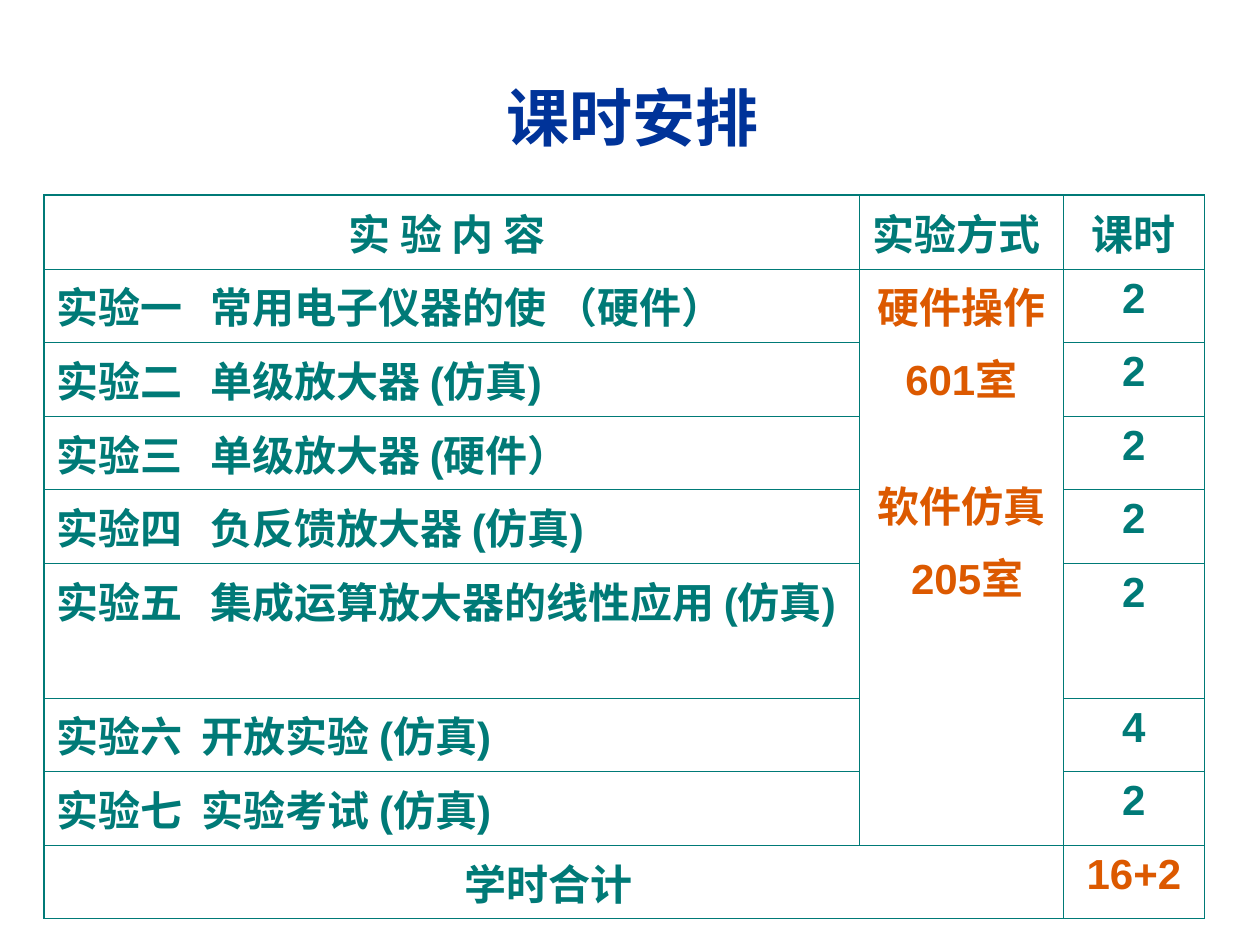
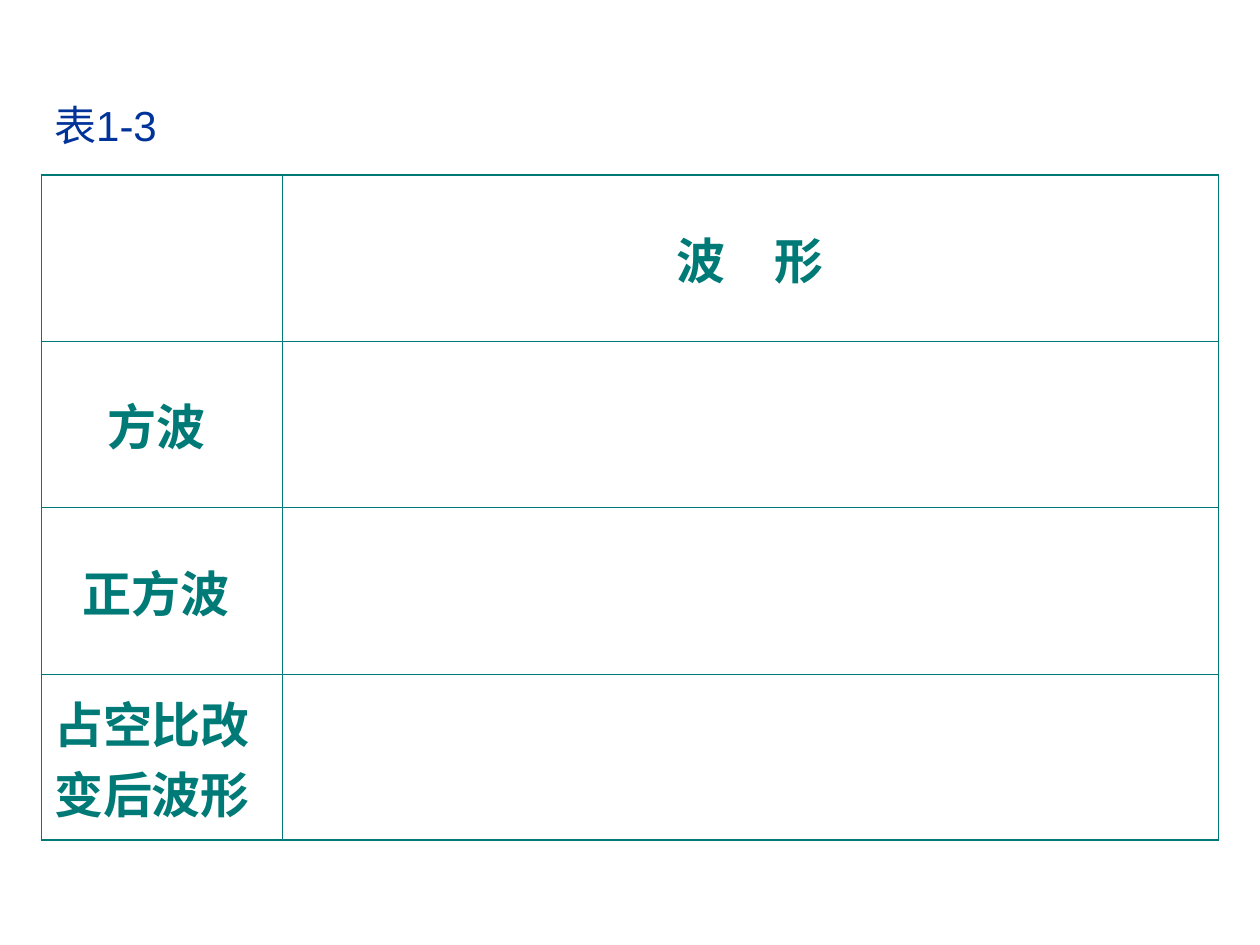
import dataclasses

import pptx
import pptx.dml.color
import pptx.enum.text
import pptx.oxml.ns
import pptx.util
from lxml import etree

Inches = pptx.util.Inches
Pt = pptx.util.Pt
ALIGN = pptx.enum.text.PP_ALIGN
ANCHOR = pptx.enum.text.MSO_ANCHOR
qn = pptx.oxml.ns.qn

# Shared look
COLORS = {"title": "003399", "grid": "007A77", "accent": "DC5900"}
FONT = "Arial"
OUTER_LINE, INNER_LINE = Pt(1.08), Pt(0.45)
TITLE_ONLY_LAYOUT = 5


@dataclasses.dataclass(frozen=True)
class Line:
    text: str
    color: str = "grid"
    align: ALIGN = ALIGN.CENTER
    space_before: float | None = None
    tab_stop: float | None = None


@dataclasses.dataclass(frozen=True)
class Grid:
    left: float
    top: float
    column_widths: list[float]
    row_heights: list[float]
    cells: dict[tuple[int, int], list[Line]]
    size: float
    space_before: float
    anchor: ANCHOR = ANCHOR.TOP
    merges: tuple = ()


@dataclasses.dataclass(frozen=True)
class Heading:
    text: str
    box: tuple[float, float, float, float]
    size: float
    bold: bool = False
    align: ALIGN = ALIGN.LEFT
    bottom_inset: float = 0.05


def write_line(paragraph, text: str, *, size: float, color: str, bold: bool = True,
               align: ALIGN = ALIGN.CENTER, space_before: float = 0,
               tab_stop: float | None = None) -> None:
    paragraph.alignment = align
    paragraph.space_before = Pt(space_before)
    if tab_stop is not None:
        properties = paragraph._p.get_or_add_pPr()
        stops = etree.SubElement(properties, qn("a:tabLst"))
        etree.SubElement(stops, qn("a:tab"), pos=str(Inches(tab_stop)), algn="l")
    run = paragraph.add_run()
    run.text = text
    run.font.name = FONT
    run.font.size = Pt(size)
    run.font.bold = bold
    run.font.color.rgb = pptx.dml.color.RGBColor.from_string(COLORS[color])


def draw_heading(slide, heading: Heading) -> None:
    title = slide.shapes.title
    title.left, title.top, title.width, title.height = map(Inches, heading.box)
    frame = title.text_frame
    frame.auto_size = pptx.enum.text.MSO_AUTO_SIZE.NONE
    frame.vertical_anchor = ANCHOR.MIDDLE
    frame.margin_bottom = Inches(heading.bottom_inset)
    write_line(frame.paragraphs[0], heading.text, size=heading.size, color="title",
               bold=heading.bold, align=heading.align)


def set_borders(cell, outer_sides: dict[str, bool]) -> None:
    properties = cell._tc.get_or_add_tcPr()
    for position, (side, is_outer) in enumerate(outer_sides.items()):
        width = OUTER_LINE if is_outer else INNER_LINE
        border = etree.Element(qn(f"a:ln{side}"), w=str(width))
        fill = etree.SubElement(border, qn("a:solidFill"))
        etree.SubElement(fill, qn("a:srgbClr"), val=COLORS["grid"])
        properties.insert(position, border)


def draw_grid(slide, grid: Grid) -> None:
    row_count, column_count = len(grid.row_heights), len(grid.column_widths)
    table = slide.shapes.add_table(
        row_count, column_count, Inches(grid.left), Inches(grid.top),
        Inches(sum(grid.column_widths)), Inches(sum(grid.row_heights))).table
    table.first_row = table.horz_banding = False
    for column, width in zip(table.columns, grid.column_widths):
        column.width = Inches(width)
    for row, height in zip(table.rows, grid.row_heights):
        row.height = Inches(height)
    for first, last in grid.merges:
        table.cell(*first).merge(table.cell(*last))

    for r in range(row_count):
        for c in range(column_count):
            cell = table.cell(r, c)
            cell.fill.background()
            cell.vertical_anchor = grid.anchor
            set_borders(cell, {"L": c == 0, "R": c == column_count - 1,
                               "T": r == 0, "B": r == row_count - 1})
            for i, line in enumerate(grid.cells.get((r, c), [])):
                frame = cell.text_frame
                paragraph = frame.paragraphs[0] if i == 0 else frame.add_paragraph()
                before = grid.space_before if line.space_before is None else line.space_before
                write_line(paragraph, line.text, size=grid.size, color=line.color,
                           align=line.align, space_before=before, tab_stop=line.tab_stop)


def schedule_grid() -> Grid:
    # Number, subject, hours and where the subject starts
    experiments = [
        ("实验一", "常用电子仪器的使 （硬件）", "2", 1.22),
        ("实验二", "单级放大器 (仿真)", "2", 1.22),
        ("实验三", "单级放大器 (硬件）", "2", 1.22),
        ("实验四", "负反馈放大器 (仿真)", "2", 1.22),
        ("实验五", "集成运算放大器的线性应用 (仿真)", "2", 1.22),
        ("实验六", "开放实验 (仿真)", "4", 1.15),
        ("实验七", "实验考试 (仿真)", "2", 1.15),
    ]
    total_row = len(experiments) + 1
    cells = {
        (0, 0): [Line("实 验 内 容 ")],
        (0, 1): [Line("实验方式 ")],
        (0, 2): [Line("课时")],
        (1, 1): [Line("硬件操作", "accent"), Line("601室", "accent"),
                 Line("软件仿真", "accent", space_before=38), Line(" 205室", "accent")],
        (total_row, 0): [Line("学时合计 ")],
        (total_row, 2): [Line("16+2", "accent")],
    }
    for r, (number, subject, hours, start) in enumerate(experiments, start=1):
        cells[r, 0] = [Line(f"{number}\t{subject}", align=ALIGN.LEFT, tab_stop=start)]
        cells[r, 2] = [Line(hours)]
    heights = [0.58] * (total_row + 1)
    heights[5] = 1.07
    return Grid(0.35, 1.55, [6.47, 1.62, 1.12], heights, cells, size=24, space_before=6,
                merges=(((1, 1), (total_row - 1, 1)), ((total_row, 0), (total_row, 1))))


def waveform_grid() -> Grid:
    cells = {
        (0, 1): [Line("波　形")],
        (1, 0): [Line("方波 ")],
        (2, 0): [Line("正方波 ")],
        (3, 0): [Line("占空比改变后波形", align=ALIGN.LEFT)],
    }
    return Grid(0.33, 1.39, [1.91, 7.43], [1.32] * 4, cells, size=28, space_before=7,
                anchor=ANCHOR.MIDDLE)


def main() -> None:
    presentation = pptx.Presentation()
    presentation.slide_width, presentation.slide_height = Inches(10), Inches(7.5)
    pages = [
        # Course hours
        (Heading("课时安排", (0.35, 0.84, 9.34, 0.72), 36, bold=True,
                 align=ALIGN.CENTER, bottom_inset=0.6), schedule_grid()),
        # Waveform record sheet
        (Heading("表1-3", (0.33, 0.67, 9.34, 0.64), 24), waveform_grid()),
    ]
    for heading, grid in pages:
        slide = presentation.slides.add_slide(presentation.slide_layouts[TITLE_ONLY_LAYOUT])
        draw_heading(slide, heading)
        draw_grid(slide, grid)
    presentation.save("out.pptx")


if __name__ == "__main__":
    main()
